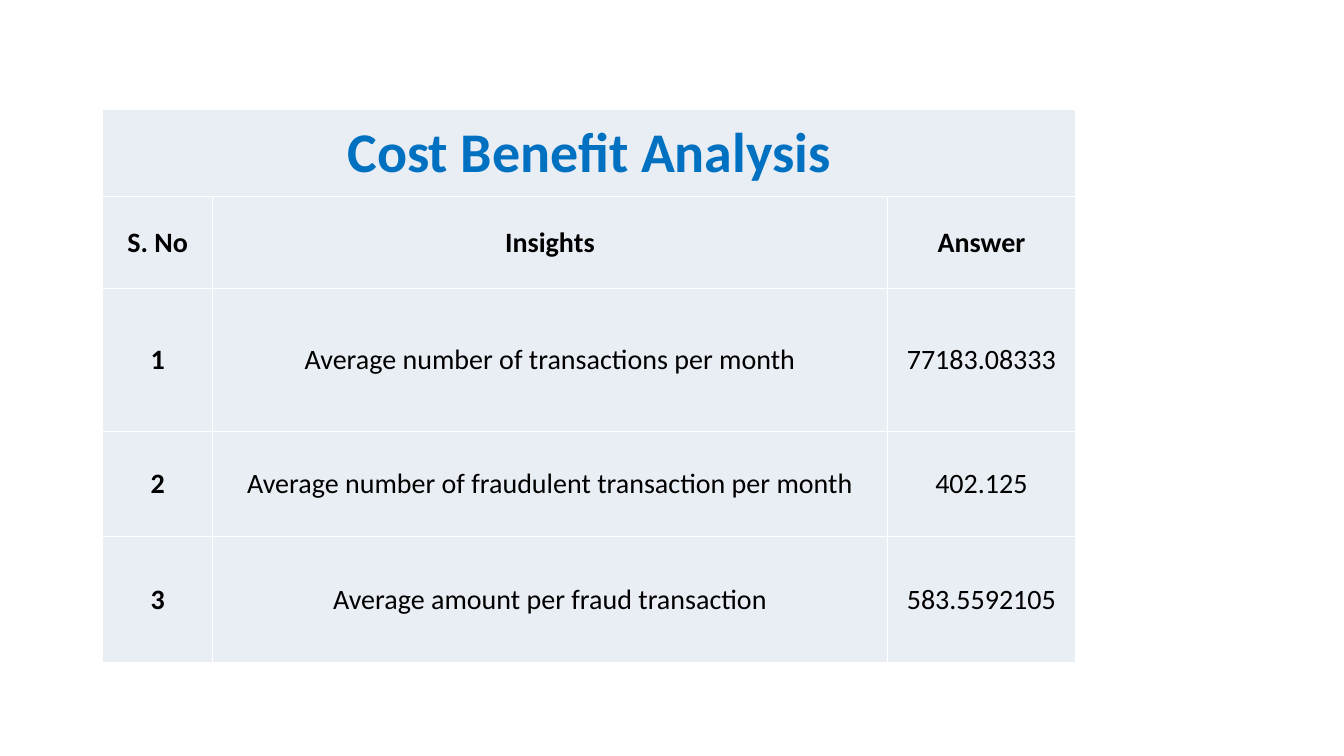
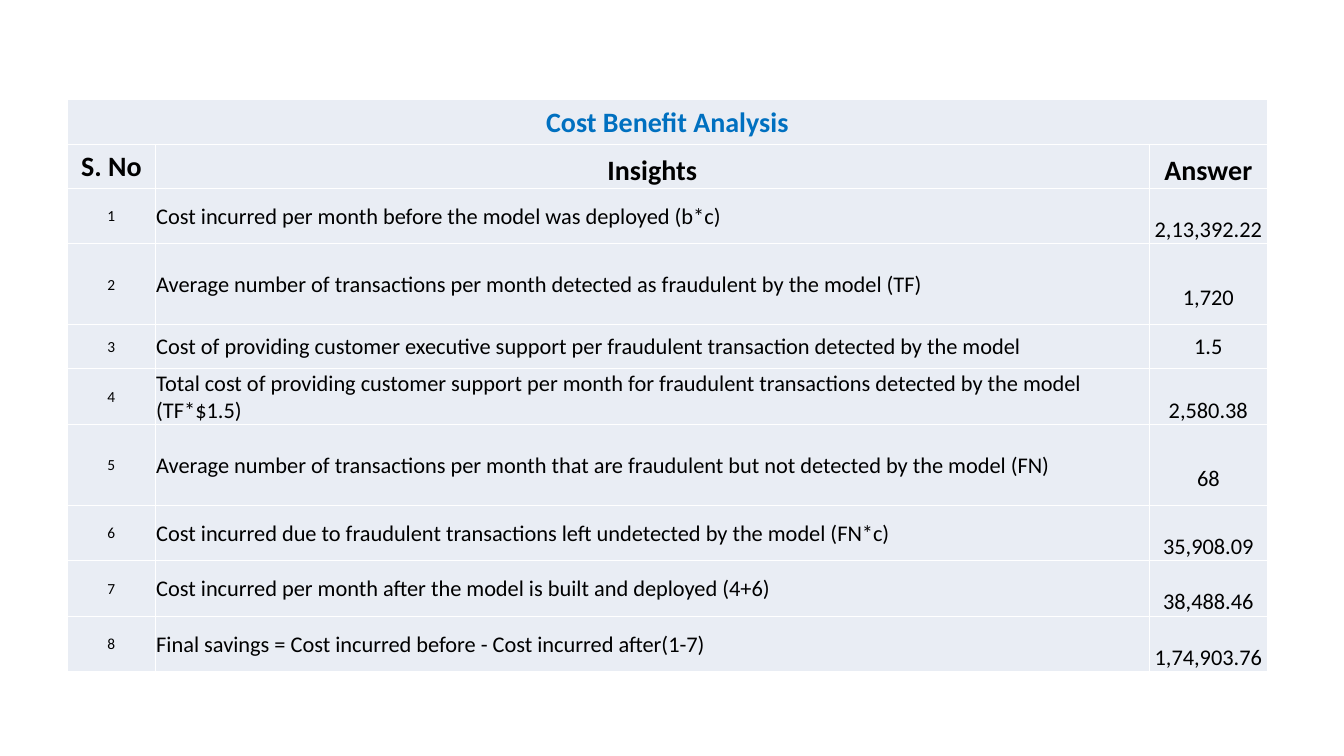
from lxml import etree
from pptx import Presentation
from pptx import util as u
from pptx.dml.color import RGBColor
from pptx.enum import text
from pptx.oxml import ns

COLORS = {"title": "0070C0", "body": "000000", "cell": "E9EDF4", "border": "FFFFFF"}
FONT = "Calibri"
TITLE = "Cost Benefit Analysis"
HEADINGS = ("S. No", "Insights", "Answer")
INSET = 0.01
ANSWER_DROP = 0.27  # one line of 16 pt text

MONTHLY_AVERAGES = [
    ("Average number of transactions per month", "77183.08333"),
    ("Average number of fraudulent transaction per month", "402.125"),
    ("Average amount per fraud transaction", "583.5592105"),
]
SAVINGS = [
    ("Cost incurred per month before the model was deployed (b*c)", "2,13,392.22"),
    ("Average number of transactions per month detected as fraudulent by the model (TF)",
     "1,720"),
    ("Cost of providing customer executive support per fraudulent transaction "
     "detected by the model", "1.5"),
    ("Total cost of providing customer support per month for fraudulent transactions "
     "detected by the model (TF*$1.5)", "2,580.38"),
    ("Average number of transactions per month that are fraudulent but not detected "
     "by the model (FN)", "68"),
    ("Cost incurred due to fraudulent transactions left undetected by the model (FN*c)",
     "35,908.09"),
    ("Cost incurred per month after the model is built and deployed (4+6)", "38,488.46"),
    ("Final savings = Cost incurred before - Cost incurred after(1-7)", "1,74,903.76"),
]


def rgb(name):
    return RGBColor.from_string(COLORS[name])


def add_borders(cell):
    properties = cell._tc.get_or_add_tcPr()
    for side in ("lnL", "lnR", "lnT", "lnB"):
        line = etree.SubElement(properties, ns.qn(f"a:{side}"), w=str(u.Pt(1)))
        fill = etree.SubElement(line, ns.qn("a:solidFill"))
        etree.SubElement(fill, ns.qn("a:srgbClr"), val=COLORS["border"])


def write_cell(cell, words, size=20, bold=False, color="body", align="CENTER",
               anchor="MIDDLE", drop=0):
    """Write one line of formatted text; drop adds space above it."""
    cell.margin_left = cell.margin_right = u.Inches(INSET)
    cell.margin_top = u.Inches(drop or INSET)
    cell.margin_bottom = 0
    cell.vertical_anchor = getattr(text.MSO_ANCHOR, anchor)
    para = cell.text_frame.paragraphs[0]
    para.alignment = getattr(text.PP_ALIGN, align)
    span = para.add_run()
    span.text = words
    span.font.name = FONT
    span.font.size = u.Pt(size)
    span.font.bold = bold
    span.font.color.rgb = rgb(color)


def add_analysis_table(page, left, top, widths, heights):
    """Add a filled, bordered grid whose first row is one merged title cell."""
    frame = page.shapes.add_table(
        len(heights), len(widths), u.Inches(left), u.Inches(top),
        u.Inches(sum(widths)), u.Inches(sum(heights)))
    table = frame.table
    table.first_row = table.horz_banding = False
    for column, width in zip(table.columns, widths):
        column.width = u.Inches(width)
    for row, height in zip(table.rows, heights):
        row.height = u.Inches(height)
    for cell in table.iter_cells():
        add_borders(cell)
        cell.fill.solid()
        cell.fill.fore_color.rgb = rgb("cell")
    table.cell(0, 0).merge(table.cell(0, len(widths) - 1))
    return table


def fill_table(table, entries, title_size, heading_anchor, number, insight, answer):
    """Write title, headings and entries; the last three are column formats."""
    write_cell(table.cell(0, 0), TITLE, size=title_size, bold=True, color="title")
    anchors = ("MIDDLE", heading_anchor, heading_anchor)
    for column, (heading, anchor) in enumerate(zip(HEADINGS, anchors)):
        write_cell(table.cell(1, column), heading, bold=True, anchor=anchor)
    for index, (question, value) in enumerate(entries, 1):
        row = index + 1
        write_cell(table.cell(row, 0), str(index), **number)
        write_cell(table.cell(row, 1), question, **insight)
        drop = 0 if value == "1.5" else answer.get("drop", 0)
        write_cell(table.cell(row, 2), value, **{**answer, "drop": drop})


def build_averages(page):
    table = add_analysis_table(page, 1.02, 1.09, (1.09, 6.69, 1.87),
                               (0.86, 0.91, 1.42, 1.04, 1.25))
    fill_table(table, MONTHLY_AVERAGES, 40, "MIDDLE",
               number={"bold": True}, insight={}, answer={})


def build_savings(page):
    short, medium, tall = 0.44, 0.55, 0.8
    table = add_analysis_table(
        page, 0.67, 0.99, (0.87, 9.86, 1.17),
        (short, short, medium, tall, short, medium, tall, medium, medium, medium))
    fill_table(table, SAVINGS, 20, "BOTTOM",
               number={"size": 11},
               insight={"size": 16, "align": "LEFT"},
               answer={"size": 16, "drop": ANSWER_DROP})


def main():
    deck = Presentation()
    deck.slide_width, deck.slide_height = u.Inches(13.33), u.Inches(7.5)
    for build in (build_averages, build_savings):
        build(deck.slides.add_slide(deck.slide_layouts[6]))
    deck.save("out.pptx")


if __name__ == "__main__":
    main()
